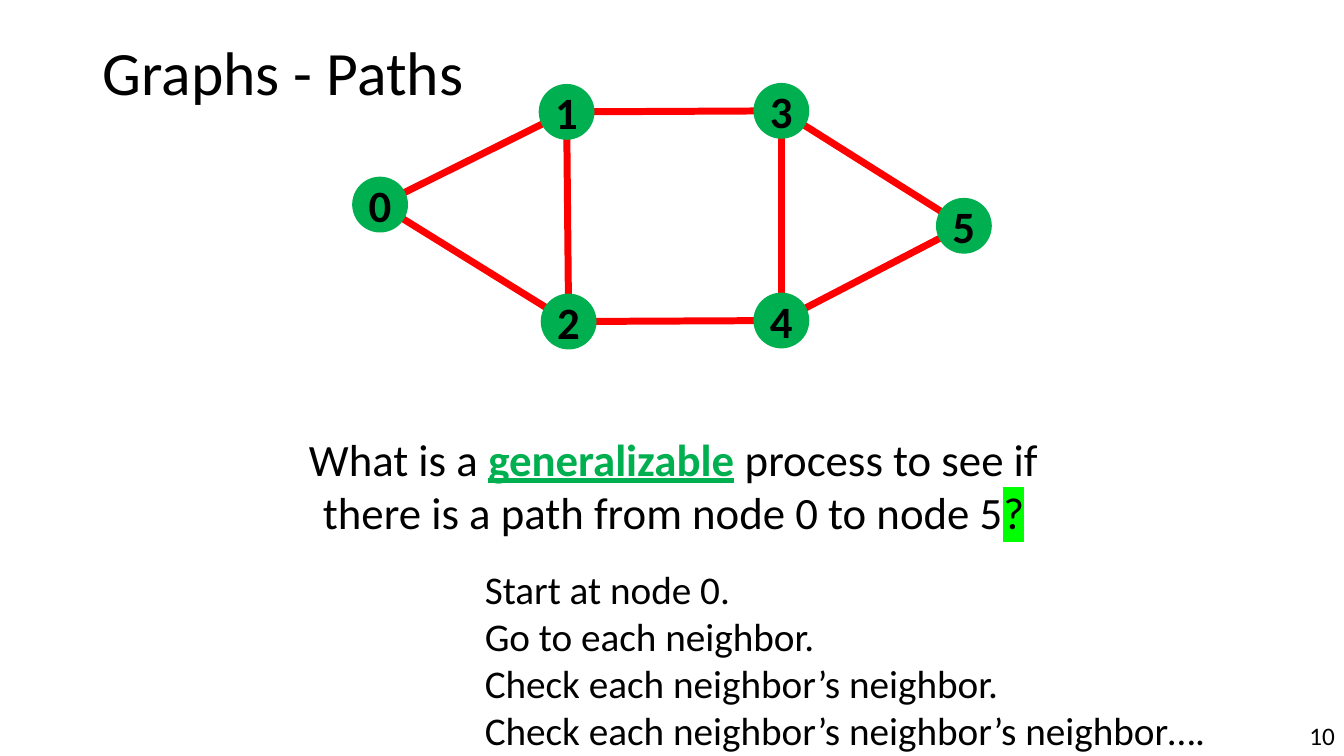
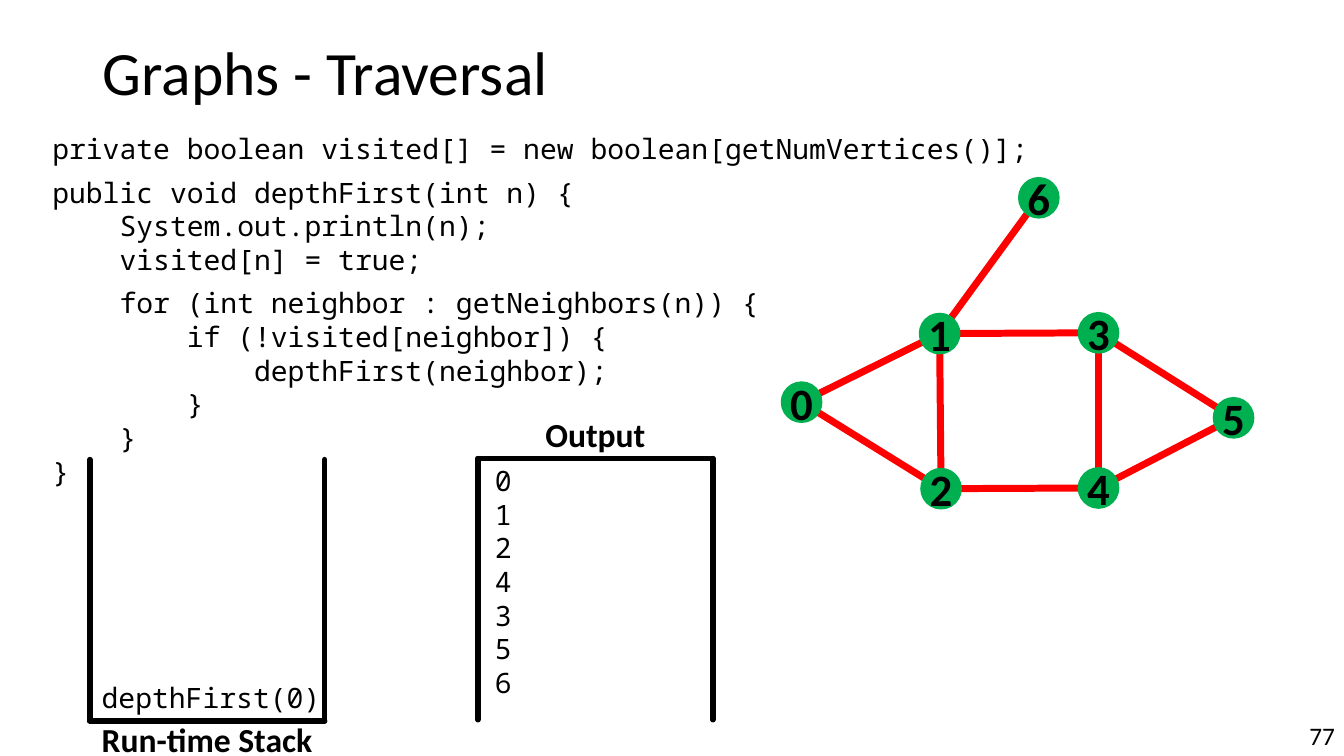
from lxml import etree
from pptx import Presentation
from pptx.dml.color import RGBColor
from pptx.enum.shapes import MSO_CONNECTOR, MSO_SHAPE
from pptx.enum.text import MSO_ANCHOR, PP_ALIGN
from pptx.oxml.ns import qn
from pptx.util import Inches, Pt

BLACK = RGBColor(0x00, 0x00, 0x00)
RED = RGBColor(0xFF, 0x00, 0x00)
GREEN = RGBColor(0x00, 0xB0, 0x50)
LIME = RGBColor(0x00, 0xFF, 0x00)
SANS, MONO = "Calibri", "Noto Sans Mono"

# Graph: node positions relative to node 0, in inches at full scale
NODES = {0: (0, 0), 1: (1.85, -0.92), 2: (1.87, 1.16),
         3: (3.98, -0.93), 4: (3.98, 1.15), 5: (5.79, 0.21)}
EDGES = [(0, 1), (0, 2), (1, 2), (1, 3), (2, 4), (3, 4), (3, 5), (4, 5)]
EXTRA_NODE = {6: (3.18, -2.74)}
EXTRA_EDGE = [(1, 6)]
NODE_SIZE = 0.54

QUESTION = [
    ("What is a ", {}),
    ("generalizable", {"color": GREEN, "bold": True, "underline": True}),
    (" process to see if there is a path from node 0 to node 5", {}),
    ("?", {"highlight": LIME}),
]
STEPS = [
    "Start at node 0.",
    "Go to each neighbor.",
    "Check each neighbor’s neighbor.",
    "Check each neighbor’s neighbor’s neighbor….",
]
# Each block of code is set off from the one before by a small gap
CODE_BLOCKS = [
    ["private boolean visited[] = new boolean[getNumVertices()];"],
    ["public void depthFirst(int n) {",
     "    System.out.println(n);",
     "    visited[n] = true;"],
    ["    for (int neighbor : getNeighbors(n)) {",
     "        if (!visited[neighbor]) {",
     "            depthFirst(neighbor);",
     "        }",
     "    }",
     "}"],
]
OUTPUT = ["0", "1", "2", "4", "3", "5", "6"]
STACK = ["depthFirst(0)"]


def write_span(para, text, size, font=SANS, color=BLACK, bold=False,
               underline=False, highlight=None):
    span = para.add_run()
    span.text = text
    span.font.size, span.font.name = Pt(size), font
    span.font.bold, span.font.underline = bold, underline
    span.font.color.rgb = color
    if highlight is not None:
        mark = etree.Element(qn("a:highlight"))
        etree.SubElement(mark, qn("a:srgbClr")).set("val", str(highlight))
        span.font.fill  # the highlight follows the fill in schema order
        span._r.rPr.find(qn("a:solidFill")).addnext(mark)


def write_text(frame, paragraphs, align=PP_ALIGN.LEFT, anchor=MSO_ANCHOR.TOP,
               inset=None, wrap=True, line_spacing=None, gaps=None, **style):
    """Write paragraphs, each a string or a list of (text, style) spans."""
    frame.word_wrap, frame.vertical_anchor = wrap, anchor
    if inset is not None:
        frame.margin_left = frame.margin_right = Inches(inset)
        frame.margin_top = frame.margin_bottom = Inches(inset)
    for index, spans in enumerate(paragraphs):
        para = frame.add_paragraph() if index else frame.paragraphs[0]
        para.alignment = align
        if line_spacing:
            para.line_spacing = line_spacing
        if gaps and index in gaps:
            para.space_before = Pt(gaps[index])
        if isinstance(spans, str):
            spans = [(spans, {})]
        for text, changes in spans:
            write_span(para, text, **{**style, **changes})


def add_text(page, paragraphs, left, top, width, height, **style):
    box = page.shapes.add_textbox(Inches(left), Inches(top),
                                  Inches(width), Inches(height))
    write_text(box.text_frame, paragraphs, **style)


def add_line(page, start, end, color, width, cap="flat"):
    line = page.shapes.add_connector(
        MSO_CONNECTOR.STRAIGHT, *(Inches(value) for value in (*start, *end)))
    line.line.color.rgb = color
    line.line.width = Pt(width)
    properties = line._element.spPr
    properties.find(qn("a:ln")).set("cap", cap)
    etree.SubElement(properties, qn("a:effectLst"))


def add_graph(page, nodes, edges, origin, scale=1.0):
    """Draw edges from centre to centre, then the numbered nodes on top."""
    centers = {name: (origin[0] + x * scale, origin[1] + y * scale)
               for name, (x, y) in nodes.items()}
    for first, second in edges:
        add_line(page, centers[first], centers[second], RED, 5)
    size = NODE_SIZE * scale
    for name, (x, y) in centers.items():
        node = page.shapes.add_shape(
            MSO_SHAPE.OVAL, Inches(x - size / 2), Inches(y - size / 2),
            Inches(size), Inches(size))
        node.shadow.inherit = False
        node.fill.solid()
        node.fill.fore_color.rgb = GREEN
        node.line.color.rgb = GREEN
        node.line.width = Pt(1)
        write_text(node.text_frame, [str(name)], size=32, bold=True, inset=0,
                   wrap=False, align=PP_ALIGN.CENTER, anchor=MSO_ANCHOR.MIDDLE)


def add_open_frame(page, left, top, right, bottom, closed_at):
    """Draw two sides and the one level side at height closed_at."""
    for x in (left, right):
        add_line(page, (x, top), (x, bottom), BLACK, 4, cap="rnd")
    add_line(page, (left, closed_at), (right, closed_at), BLACK, 4, cap="rnd")


def add_page(deck, title, number):
    page = deck.slides.add_slide(deck.slide_layouts[6])
    add_text(page, [title], 0.92, 0.02, 11.5, 1.45, size=44,
             anchor=MSO_ANCHOR.MIDDLE, line_spacing=0.9)
    add_text(page, [str(number)], 10.17, 7.15, 3.07, 0.3, size=18,
             align=PP_ALIGN.RIGHT, inset=0)
    return page


def build_paths(deck):
    page = add_page(deck, "Graphs - Paths", 10)
    add_graph(page, NODES, EDGES, (3.77, 2.03))
    add_text(page, [QUESTION], 2.69, 4.23, 7.98, 1.18, size=32,
             align=PP_ALIGN.CENTER)
    add_text(page, STEPS, 4.71, 5.56, 7.67, 1.99, size=28)


def build_traversal(deck):
    page = add_page(deck, "Graphs - Traversal", 77)
    add_graph(page, {**NODES, **EXTRA_NODE}, EDGES + EXTRA_EDGE,
              (7.95, 3.99), scale=0.74)

    # Output list, open at the bottom
    add_open_frame(page, 4.74, 4.55, 7.07, 7.14, closed_at=4.55)
    add_text(page, ["Output"], 4.74, 4.06, 2.33, 0.5, size=24, bold=True,
             align=PP_ALIGN.CENTER)
    add_text(page, OUTPUT, 4.81, 4.55, 2.41, 2.46, size=20, font=MONO)

    # Run-time stack, open at the top and filled from the bottom
    add_open_frame(page, 0.89, 4.56, 3.22, 7.15, closed_at=7.15)
    add_text(page, STACK, 0.91, 4.56, 2.41, 2.57, size=20, font=MONO,
             anchor=MSO_ANCHOR.BOTTOM)
    add_text(page, ["Run-time Stack"], 0.91, 7.08, 2.33, 0.5, size=24,
             bold=True)

    # Code listing
    lines, gaps = [], {}
    for block in CODE_BLOCKS:
        if lines:
            gaps[len(lines)] = 7
        lines += block
    add_text(page, lines, 0.42, 1.26, 11.01, 3.67, size=20, font=MONO,
             gaps=gaps)


def main():
    deck = Presentation()
    deck.slide_width, deck.slide_height = Inches(13.33), Inches(7.5)
    build_paths(deck)
    build_traversal(deck)
    deck.save("out.pptx")


if __name__ == "__main__":
    main()
